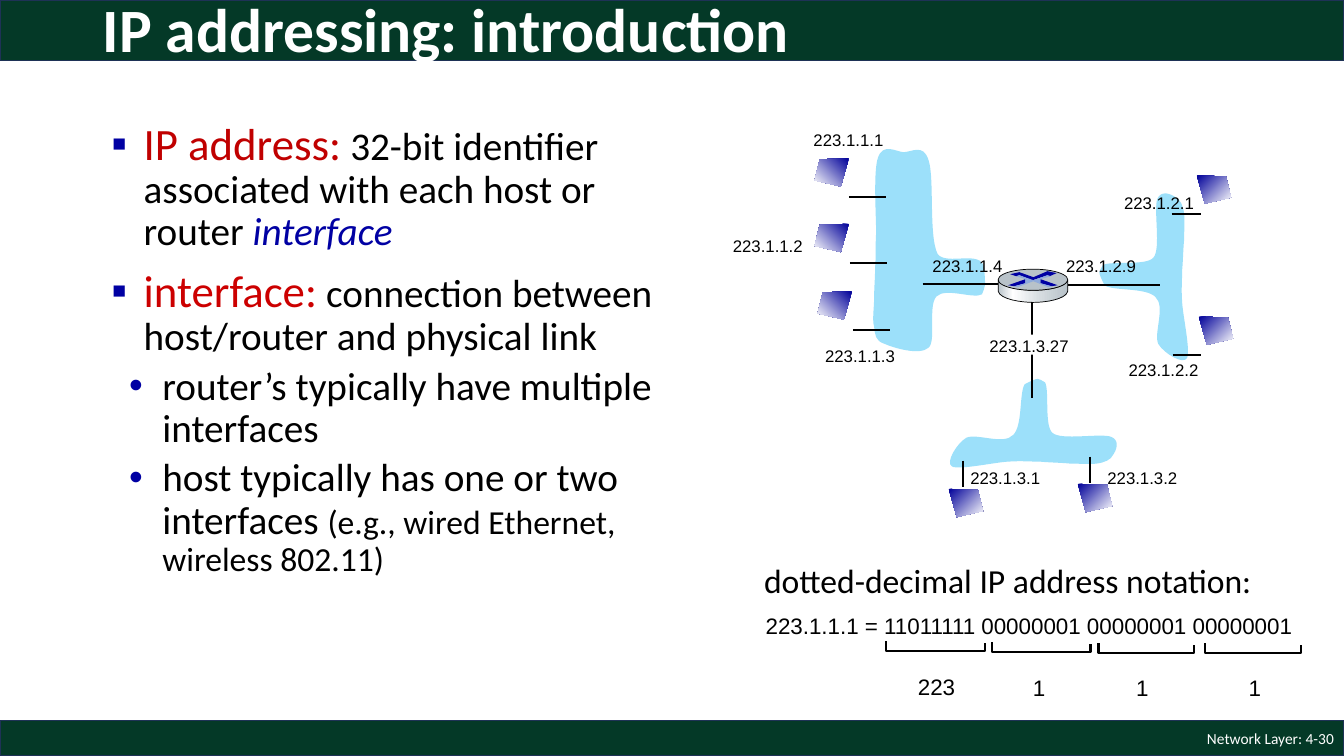
from dataclasses import dataclass
from typing import NamedTuple

from lxml.etree import SubElement
from pptx import Presentation
from pptx.dml.color import RGBColor
from pptx.enum.shapes import MSO_CONNECTOR as Connector, MSO_SHAPE as Preset
from pptx.enum.text import MSO_ANCHOR as Anchor, MSO_AUTO_SIZE as AutoSize, PP_ALIGN as Align
from pptx.oxml.ns import qn
from pptx.util import Emu, Inches, Pt

SLIDE_WIDTH, SLIDE_HEIGHT = Inches(13.33), Inches(7.5)
COLUMNS = 133.3
CELL = SLIDE_WIDTH / COLUMNS

BLACK, WHITE = RGBColor(0, 0, 0), RGBColor(255, 255, 255)
GREEN, BAR_EDGE = RGBColor(0x04, 0x39, 0x27), RGBColor(0x1E, 0x32, 0x56)
DARK_RED, RED = RGBColor(0xC0, 0, 0), RGBColor(0xCC, 0, 0)
NAVY, SCREEN_BLUE = RGBColor(0, 0, 0xA3), RGBColor(0, 0, 0x99)
SKY, ARROW_EDGE = RGBColor(0x9C, 0xE0, 0xFA), RGBColor(0x8F, 0xAA, 0xDC)
STEEL, PALE_STEEL = RGBColor(0xB8, 0xC2, 0xC9), RGBColor(0xD6, 0xDC, 0xE0)

Segments = list[tuple[float, ...]]


class Box(NamedTuple):
    left: float
    top: float
    width: float
    height: float


class Label(NamedTuple):
    text: str
    box: Box
    size: int = 12
    font: str = "Arial"


class Stroke(NamedTuple):
    x1: float
    y1: float
    x2: float
    y2: float


class Screen(NamedTuple):
    x: float
    y: float
    side: int


class Octet(NamedTuple):
    left: float
    top: float
    width: float
    value: Label


@dataclass
class Piece:
    text: str
    size: int = 28
    color: RGBColor = BLACK
    italic: bool = False


@dataclass
class Bullet:
    pieces: list[Piece]
    level: int = 0


class Level(NamedTuple):
    char: str
    margin: float
    indent: float
    space: int


LEVELS = [Level("▪", 3.85, -3.2, 10), Level("•", 5.7, -3.3, 5)]
BULLETS = [
    Bullet([Piece("IP address:", 32, DARK_RED), Piece(" ", color=DARK_RED),
            Piece("32-bit identifier associated with each host or router "),
            Piece("interface", color=NAVY, italic=True)]),
    Bullet([Piece("interface:", 32, RED), Piece(" connection between host/router and physical link")]),
    Bullet([Piece("router’s typically have multiple interfaces")], 1),
    Bullet([Piece("host typically has one or two interfaces "),
            Piece("(e.g., wired Ethernet, wireless 802.11)", 24)], 1),
]
SIDE_CLOUD: Segments = [
    (109.3, 28.4), (110.2, 29, 113.6, 28.6, 114.6, 29.6), (115.7, 30.6, 114.4, 33.4, 114.9, 34.5),
    (115.5, 35.5, 117.5, 36.7, 117.9, 36), (118.3, 35.3, 117.5, 31.7, 117.4, 30.2),
    (117.3, 28.7, 117.4, 27.9, 117.4, 26.8), (117.5, 25.7, 117.5, 24.7, 117.6, 23.7),
    (117.6, 22.7, 117.7, 21.6, 117.6, 20.9), (117.5, 20.1, 117.2, 19.4, 116.7, 19.2),
    (116.3, 18.9, 115.2, 18.4, 114.8, 19.4), (114.4, 20.5, 115.2, 24.6, 114.4, 25.5),
    (113.7, 26.4, 109.8, 25.8, 109.1, 26.3), (108.7, 27.1, 108.5, 26.8, 109.3, 28.4)]
LEFT_CLOUD: Segments = [
    (97.6, 26.6), (97.4, 24.7, 93.9, 26.4, 93, 25.2), (92.1, 23.4, 92.7, 17.6, 92.1, 15.9),
    (91.6, 14.2, 90.4, 15.1, 89.6, 15.1), (88.8, 15, 87.6, 14.2, 87.1, 15.6),
    (86.6, 16.9, 86.9, 21.3, 86.9, 23.1), (86.8, 24.9, 86.9, 25.4, 86.8, 26.5),
    (86.8, 27.6, 86.7, 28.6, 86.7, 29.6), (86.7, 30.6, 86.5, 31.7, 86.7, 32.4),
    (86.8, 33.2, 86.8, 33.8, 87.7, 34.1), (88.6, 34.5, 91.2, 35.3, 92.1, 34.5),
    (92.9, 33.8, 92, 30.3, 92.9, 29.4), (93.8, 28.5, 96.6, 29.7, 97.4, 29.2),
    (97.7, 28.4, 97.8, 28.5, 97.6, 26.6)]
TURNED_CLOUDS = [(Box(97.8, 33.3, 9.3, 17.4), 270), (Box(108.8, 18.8, 9.3, 17.4), 180)]
ROUTER_BODY: Segments = [
    (105.9, 27.8), (105.9, 28.9), (105.7, 29.7, 103.7, 30, 102.5, 30), (101.3, 30, 99.2, 29.7, 99, 28.9),
    (99, 28.7, 99, 28.1, 99, 27.8), (99.3, 28.5, 101.3, 28.8, 102.5, 28.8),
    (103.6, 28.8, 105.6, 28.6, 105.9, 27.8)]
ROUTER_MARKS: list[tuple[Segments, RGBColor]] = [
    ([(103.9, 26.9), (104.8, 27.1), (104.1, 27.4), (103.9, 27.3), (102.4, 27.8), (101.1, 27.3),
      (100.8, 27.4), (100.2, 27.2), (101.1, 27), (102.5, 27.5)], NAVY),
    ([(103.2, 27.7), (104.9, 28.3), (104.3, 28.4), (103.2, 28.1)], NAVY),
    ([(101.7, 27.7), (101.7, 28.1), (100.6, 28.4), (100, 28.3)], NAVY),
    ([(100.8, 27.4), (101.1, 27.3), (102.5, 27.8), (103.9, 27.3), (104.2, 27.4), (103.2, 27.7),
      (103.2, 28.1), (104.3, 28.4), (104, 28.5), (102.5, 27.9), (100.9, 28.5), (100.6, 28.4),
      (101.7, 28.1), (101.7, 27.7)], ARROW_EDGE)]
ADDRESSES = [Label(text, Box(left, top, 9, 3)) for text, left, top in [
    ("223.1.1.1", 79.7, 12.4), ("223.1.1.2", 71.7, 22.9), ("223.1.1.3", 80.85, 33.8),
    ("223.1.1.4", 91.5, 24.9), ("223.1.2.9", 104.75, 24.9), ("223.1.2.2", 110.95, 35.2),
    ("223.1.2.1", 110.5, 18.6), ("223.1.3.2", 108.85, 45.9), ("223.1.3.1", 95.25, 45.9)]]
ADDRESSES.append(Label("223.1.3.27", Box(97.15, 32.8, 10, 3)))
NOTATION = [
    Label("223.1.1.1 = 11011111 00000001 00000001 00000001", Box(74.95, 60.25, 55.2, 4.2), 16),
    Label("dotted-decimal IP address notation:", Box(74.8, 55.1, 50.9, 5), 24, "Calibri")]
OCTETS = [
    Octet(87.9, 63.6, 9.75, Label("223", Box(90.05, 66.3, 5.7, 4.2), 16)),
    Octet(98.4, 63.7, 9.75, Label("1", Box(101.45, 66.4, 3.2, 4.2), 16)),
    Octet(108.95, 63.8, 9.5, Label("1", Box(111.7, 66.4, 3.2, 4.2), 16)),
    Octet(119.5, 63.8, 9.5, Label("1", Box(122.85, 66.4, 3.2, 4.2), 16))]
PATCHES = [Box(72.7, 23.7, 9.1, 2), Box(97.8, 33.2, 9.3, 2)]
SCREENS = [Screen(84.2, 15.7, -1), Screen(84.2, 22.2, -1), Screen(84.5, 28.9, -1), Screen(118.7, 17.4, 1),
           Screen(118.9, 31.4, 1), Screen(106.9, 48, 1), Screen(94.1, 48.5, 1)]
SCREEN_CORNERS = [(0, 0), (2.9, 0.1), (3.4, 2.2), (0.8, 2.8)]
LINKS = [Stroke(84.2, 19.5, 87.9, 19.5), Stroke(84.3, 26.1, 88, 26.1), Stroke(84.6, 32.75, 88.3, 32.75),
         Stroke(91.5, 28.2, 100.2, 28.2), Stroke(104.4, 28.3, 115.1, 28.3), Stroke(116.2, 21.2, 119.1, 21.2),
         Stroke(116.3, 35.25, 119.1, 35.25), Stroke(95.55, 45.7, 95.55, 48.3), Stroke(108.1, 45.3, 108.1, 47.9)]


def grid(count: float) -> Emu:
    return Emu(round(count * CELL))


def apply(target, values: dict) -> None:
    for name, value in values.items():
        setattr(target, name, value)


def place(shape, box: Box) -> None:
    apply(shape, {name: grid(value) for name, value in box._asdict().items()})


def paint(shape, fill: RGBColor | None = None, line: RGBColor | None = None, width: float = 1) -> None:
    shape.shadow.inherit = False
    for part, color in ((shape.fill, fill), (shape.line.fill, line)):
        if color is None:
            part.background()
        else:
            part.solid()
            part.fore_color.rgb = color
    if line is not None:
        shape.line.width = Pt(width)


def shade(shape, stops: list[tuple[int, RGBColor]], angle: int) -> None:
    shape.fill.gradient()
    shape.fill.gradient_angle = angle
    stop_list = shape._element.spPr.find(qn("a:gradFill")).find(qn("a:gsLst"))
    stop_list.clear()
    for percent, color in stops:
        stop = SubElement(stop_list, qn("a:gs"), pos=str(percent * 1000))
        SubElement(stop, qn("a:srgbClr"), val=str(color))


def write(paragraph, piece: Piece, font: str = "Calibri", bold: bool = False) -> None:
    run = paragraph.add_run()
    run.text = piece.text
    apply(run.font, {"name": font, "size": Pt(piece.size), "italic": piece.italic, "bold": bold})
    run.font.color.rgb = piece.color


def outline(shapes, segments: Segments, close: bool = True):
    start, *rest = [(grid(x), grid(y)) for segment in segments for x, y in zip(segment[::2], segment[1::2])]
    builder = shapes.build_freeform(*start)
    builder.add_line_segments(rest, close=close)
    shape = builder.convert_to_shape()
    contour = next(shape._element.spPr.iter(qn("a:path")))
    lines = iter(contour.findall(qn("a:lnTo")))
    for segment in segments[1:]:
        group = [next(lines) for _ in segment[::2]]
        if len(group) == 3:
            curve = contour.makeelement(qn("a:cubicBezTo"))
            group[0].addprevious(curve)
            for line in group:
                curve.append(line[0])
                contour.remove(line)
    return shape


def add_preset(shapes, preset: Preset, box: Box, fill: RGBColor, line: RGBColor | None = None, width: float = 1):
    shape = shapes.add_shape(preset, *map(grid, box))
    paint(shape, fill, line, width)
    return shape


def add_label(shapes, label: Label) -> None:
    frame = shapes.add_textbox(*map(grid, label.box)).text_frame
    apply(frame, {"word_wrap": False, "auto_size": AutoSize.SHAPE_TO_FIT_TEXT})
    write(frame.paragraphs[0], Piece(label.text, label.size), label.font)


def add_link(shapes, stroke: Stroke) -> None:
    link = shapes.add_connector(Connector.STRAIGHT, *map(grid, stroke))
    link.line.width = Pt(1.5)
    link.line.color.rgb = BLACK
    SubElement(link._element.spPr, qn("a:effectLst"))


def add_screen(shapes, screen: Screen) -> None:
    shape = outline(shapes, [(screen.x + screen.side * x, screen.y + y) for x, y in SCREEN_CORNERS])
    paint(shape)
    shade(shape, [(0, SCREEN_BLUE), (100, WHITE)], 315 if screen.side > 0 else 225)


def add_octet(shapes, octet: Octet) -> None:
    left, top, right = octet.left, octet.top, octet.left + octet.width
    bracket = outline(shapes, [(left, top), (left, top + 1), (right, top + 1), (right, top + 0.2)], False)
    paint(bracket, None, BLACK, 1.5)
    add_label(shapes, octet.value)


def add_clouds(shapes) -> None:
    upright = [tuple((55 if index % 2 else 226.9) - value for index, value in enumerate(segment))
               for segment in SIDE_CLOUD]
    for box, rotation in TURNED_CLOUDS:
        cloud = outline(shapes, upright)
        place(cloud, box)
        cloud.rotation = rotation
        paint(cloud, SKY)
    paint(outline(shapes, LEFT_CLOUD), SKY)


def add_router(shapes) -> None:
    body = outline(shapes, ROUTER_BODY)
    paint(body, STEEL, BLACK, 0.5)
    shade(body, [(0, STEEL), (21, WHITE), (60, PALE_STEEL), (100, STEEL)], 0)
    add_preset(shapes, Preset.OVAL, Box(99, 26.7, 6.9, 2.1), STEEL, BLACK, 0.5)
    for segments, color in ROUTER_MARKS:
        paint(outline(shapes, segments), color)


def fill_bullets(frame) -> None:
    apply(frame, {"word_wrap": True, "auto_size": AutoSize.NONE})
    for index, bullet in enumerate(BULLETS):
        paragraph = frame.add_paragraph() if index else frame.paragraphs[0]
        level = LEVELS[bullet.level]
        apply(paragraph, {"level": bullet.level, "line_spacing": 0.9, "alignment": Align.LEFT,
                          "space_before": Pt(level.space if index else 0)})
        properties = paragraph._p.get_or_add_pPr()
        properties.set("marL", str(grid(level.margin)))
        properties.set("indent", str(grid(level.indent)))
        SubElement(SubElement(properties, qn("a:buClr")), qn("a:srgbClr"), val=str(NAVY))
        SubElement(properties, qn("a:buFont"), typeface="Arial")
        SubElement(properties, qn("a:buChar"), char=level.char)
        for piece in bullet.pieces:
            write(paragraph, piece)


def main() -> None:
    presentation = Presentation()
    apply(presentation, {"slide_width": SLIDE_WIDTH, "slide_height": SLIDE_HEIGHT})
    slide = presentation.slides.add_slide(presentation.slide_layouts[1])
    shapes = slide.shapes
    title, body = slide.placeholders

    for box in (Box(0, 71.5, COLUMNS, 3.5), Box(0, 0, COLUMNS, 6)):
        bar = add_preset(shapes, Preset.RECTANGLE, box, GREEN, BAR_EDGE)
        shapes._spTree.insert(2, bar._element)

    place(title, Box(9.2, -1.65, 115, 9.8))
    apply(title.text_frame, {"vertical_anchor": Anchor.MIDDLE, "auto_size": AutoSize.NONE})
    heading = title.text_frame.paragraphs[0]
    apply(heading, {"alignment": Align.LEFT, "line_spacing": 0.9})
    write(heading, Piece("IP addressing: introduction", 44, WHITE), bold=True)
    place(body, Box(9.4, 11.53, 60.8, 53))
    fill_bullets(body.text_frame)

    footer = shapes.add_textbox(*map(grid, Box(103.3, 71.5, 30, 3.5))).text_frame
    apply(footer, {"word_wrap": True, "vertical_anchor": Anchor.MIDDLE})
    footer.paragraphs[0].alignment = Align.RIGHT
    write(footer.paragraphs[0], Piece("Network Layer: 4-30", 11, WHITE))

    add_clouds(shapes)
    add_link(shapes, Stroke(102.35, 29.9, 102.35, 39.5))
    for patch in PATCHES:
        add_preset(shapes, Preset.RECTANGLE, patch, WHITE)
    for label in ADDRESSES + NOTATION:
        add_label(shapes, label)
    for octet in OCTETS:
        add_octet(shapes, octet)
    for screen in SCREENS:
        add_screen(shapes, screen)
    for link in LINKS:
        add_link(shapes, link)
    add_router(shapes)
    presentation.save("out.pptx")


if __name__ == "__main__":
    main()
